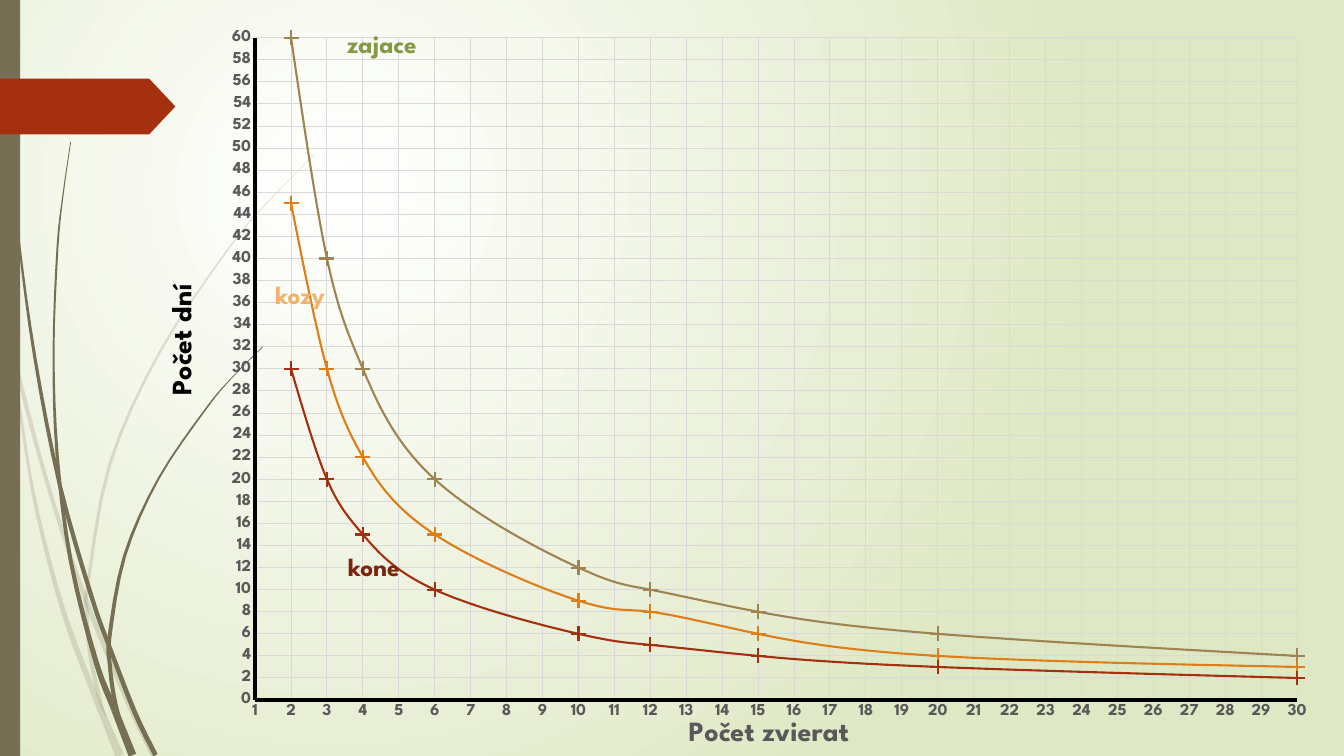
from dataclasses import dataclass
from math import hypot

from lxml import etree
from pptx import Presentation
from pptx.chart.data import XyChartData
from pptx.dml.color import RGBColor
from pptx.enum import chart as ce, shapes, text
from pptx.oxml.ns import qn
from pptx.util import Cm, Pt


@dataclass(frozen=True)
class Theme:
    font: str = "League Spartan"
    stem: str = "766F54"
    arrow: str = "A53010"
    bg_inner: str = "FFFFFF"
    bg_outer: str = "DFE8C4"
    axis: str = "000000"
    grid: str = "D9D9D9"
    muted: str = "595959"
    tick_size: int = 12
    label_size: int = 18
    title_size: int = 20


@dataclass(frozen=True)
class Stem:
    """Curved blade: centre points as (x, y, width) in cm, cut into pieces at some of them."""
    points: list[tuple[float, float, float]]
    cuts: tuple[int, ...]
    opacity: int = 100


@dataclass(frozen=True)
class Curve:
    """Animals that eat the feed in total / count days."""
    name: str
    total: int
    color: str
    label_color: str
    label_x: float
    label_y: float


@dataclass(frozen=True)
class AxisStyle:
    title: str
    title_color: str
    title_x: float
    title_y: float
    low: int
    high: int
    step: int


THEME = Theme()
SLIDE_W, SLIDE_H = 33.87, 19.05
CHART_X, CHART_W = 3.58, 30.29
STEPS = 4
COUNTS = [2, 3, 4, 6, 10, 12, 15, 20, 30]
CURVES = [
    Curve("kone", 60, "A53010", "7C240C", 8.08, 13.77),
    Curve("kozy", 90, "DE7E18", "F0B270", 6.22, 6.91),
    Curve("zajace", 120, "9F8351", "839943", 8.28, 0.58),
]
X_AXIS = AxisStyle("Počet zvierat", THEME.muted, 13.65, 18.1, 1, 30, 1)
Y_AXIS = AxisStyle("Počet dní", THEME.axis, 0.53, 7.12, 0, 60, 2)
STEMS = [
    Stem([(0, 7.37, 0.1), (0.3, 8.76, 0.1), (0.91, 11.18, 0.1), (1.52, 13.23, 0.1),
          (2.18, 15.16, 0.12), (3.18, 17.6, 0.12), (3.86, 19.05, 0.12)], (1, 4), 20),
    Stem([(0.3, 8.89, 0.05), (0.75, 11.94, 0.08), (1.16, 13.84, 0.1), (1.71, 15.75, 0.13),
          (2.41, 17.58, 0.15), (2.64, 18.14, 0.17), (3.02, 19.05, 0.22)], (5,), 20),
    Stem([(7.92, 3.9, 0.02), (6.81, 5.02, 0.02), (5.8, 6.21, 0.04), (4.04, 8.85, 0.06),
          (2.76, 11.72, 0.08), (2.2, 14.83, 0.08), (2.18, 15.34, 0.1), (2.26, 16.41, 0.1),
          (2.49, 17.53, 0.1), (2.67, 18.06, 0.02)], (5, 6), 20),
    Stem([(0.09, 0, 0.02), (0.19, 2.79, 0.03), (0.46, 5.92, 0.05), (0.88, 9.02, 0.08),
          (1.5, 12.19, 0.1), (2.3, 15.01, 0.11), (2.77, 16.33, 0.11), (3.4, 17.96, 0.12),
          (3.92, 19.03, 0.12)], (4, 6)),
    Stem([(1.78, 3.58, 0.02), (1.59, 4.9, 0.03), (1.45, 6.22, 0.05), (1.35, 8.86, 0.05),
          (1.44, 11.46, 0.08), (1.78, 14.12, 0.1), (2.43, 16.71, 0.13), (2.9, 17.91, 0.17),
          (3.34, 19.03, 0.2)], (4, 7)),
    Stem([(6.62, 8.74, 0.02), (5.87, 9.49, 0.02), (5.19, 10.3, 0.04), (3.99, 12.07, 0.05),
          (3.14, 14.01, 0.08), (2.76, 16.05, 0.1), (2.77, 16.76, 0.1), (2.87, 17.53, 0.1),
          (3.07, 18.21, 0.02)], (5, 6)),
]


def rgb(color: str) -> RGBColor:
    return RGBColor.from_string(color)


def paint(sp, color: str, opacity: int = 100) -> None:
    sp.shadow.inherit = False
    sp.fill.solid()
    sp.fill.fore_color.rgb = rgb(color)
    sp.line.fill.background()
    if opacity < 100:
        clr = sp._element.spPr.find(qn("a:solidFill"))[0]
        etree.SubElement(clr, qn("a:alpha")).set("val", str(opacity * 1000))


def style_font(font, size: int, color: str) -> None:
    font.name, font.size, font.bold = THEME.font, Pt(size), True
    font.color.rgb = rgb(color)


def smooth(points: list[tuple]) -> list[tuple]:
    """Catmull-Rom curve through the points."""
    padded = [points[0], *points, points[-1]]
    result = []
    for quad in zip(padded, padded[1:], padded[2:], padded[3:]):
        for t in (i / STEPS for i in range(STEPS)):
            result.append(tuple(
                b + 0.5 * t * (c - a + t * (2 * a - 5 * b + 4 * c - d + t * (3 * (b - c) + d - a)))
                for a, b, c, d in zip(*quad)))
    return result + [points[-1]]


def draw_stem(slide, stem: Stem) -> None:
    line = smooth(stem.points)
    left, right = [], []
    for before, (x, y, width), after in zip([line[0], *line], line, [*line[1:], line[-1]]):
        dx, dy = after[0] - before[0], after[1] - before[1]
        k = width / 2 / hypot(dx, dy)
        left.append((Cm(x - dy * k), Cm(y + dx * k)))
        right.append((Cm(x + dy * k), Cm(y - dx * k)))
    ends = [0, *stem.cuts, len(stem.points) - 1]
    for first, last in zip(ends, ends[1:]):
        piece = slice(first * STEPS, last * STEPS + 1)
        outline = left[piece] + right[piece][::-1]
        builder = slide.shapes.build_freeform(*outline[0])
        builder.add_line_segments(outline[1:], close=True)
        paint(builder.convert_to_shape(), THEME.stem, stem.opacity)


def draw_background(slide) -> None:
    fill = slide.background.fill
    fill.gradient()
    for stop, color in zip(fill.gradient_stops, (THEME.bg_inner, THEME.bg_outer)):
        stop.color.rgb = rgb(color)
    grad = slide._element.find(".//" + qn("a:gradFill"))
    grad.remove(grad.find(qn("a:lin")))
    circle = etree.SubElement(grad, qn("a:path"), {"path": "circle"})
    etree.SubElement(circle, qn("a:fillToRect"), l="50000", t="50000", r="100000", b="100000")


def set_layout(parent, index: int, **values) -> None:
    """Place a chart part by fractions of the chart area."""
    for old in parent.findall(qn("c:layout")):
        parent.remove(old)
    layout = parent.makeelement(qn("c:layout"))
    manual = etree.SubElement(layout, qn("c:manualLayout"))
    for tag, value in values.items():
        etree.SubElement(manual, qn(f"c:{tag}")).set("val", str(value))
    parent.insert(index, layout)


def style_axis(axis, style: AxisStyle) -> None:
    axis.minimum_scale, axis.maximum_scale, axis.major_unit = style.low, style.high, style.step
    axis.major_tick_mark = axis.minor_tick_mark = ce.XL_TICK_MARK.NONE
    axis.crosses = ce.XL_AXIS_CROSSES.MINIMUM
    axis.has_major_gridlines = True
    for part, color, width in ((axis, THEME.axis, 2.5), (axis.major_gridlines, THEME.grid, 0.75)):
        part.format.line.color.rgb = rgb(color)
        part.format.line.width = Pt(width)
    style_font(axis.tick_labels.font, THEME.tick_size, THEME.muted)
    p = axis.axis_title.text_frame.paragraphs[0]
    p.add_run().text = style.title
    style_font(p.font, THEME.title_size, style.title_color)
    set_layout(axis.axis_title._element, 1, xMode="edge", yMode="edge",
               x=style.title_x / CHART_W, y=style.title_y / SLIDE_H)


def draw_chart(slide) -> None:
    data = XyChartData()
    for curve in CURVES:
        series = data.add_series(curve.name)
        for count in COUNTS:
            series.add_data_point(count, round(curve.total / count))
    chart = slide.shapes.add_chart(ce.XL_CHART_TYPE.XY_SCATTER_SMOOTH, Cm(CHART_X), 0,
                                   Cm(CHART_W), Cm(SLIDE_H), data).chart
    chart.has_legend = chart.has_title = False
    chart.font.name, chart.font.size = THEME.font, Pt(10)
    chart.plots[0].vary_by_categories = False
    set_layout(chart._chartSpace.find(".//" + qn("c:plotArea")), 0, layoutTarget="inner",
               xMode="edge", yMode="edge", x=2.85 / CHART_W, y=0.96 / SLIDE_H,
               w=26.26 / CHART_W, h=16.81 / SLIDE_H)
    style_axis(chart.category_axis, X_AXIS)
    style_axis(chart.value_axis, Y_AXIS)
    for series, curve in zip(chart.plots[0].series, CURVES):
        series._element.find(qn("c:smooth")).set("val", "1")
        series.marker.style, series.marker.size = ce.XL_MARKER_STYLE.PLUS, 10
        series.marker.format.fill.background()
        for part in (series, series.marker):
            part.format.line.color.rgb = rgb(curve.color)
            part.format.line.width = Pt(1.5)


def draw_label(slide, curve: Curve) -> None:
    tf = slide.shapes.add_textbox(Cm(curve.label_x), Cm(curve.label_y), Cm(2.69), Cm(1.02)).text_frame
    tf.word_wrap = True
    tf.auto_size = text.MSO_AUTO_SIZE.SHAPE_TO_FIT_TEXT
    p = tf.paragraphs[0]
    p.text, p.alignment = curve.name, text.PP_ALIGN.CENTER
    style_font(p.font, THEME.label_size, curve.label_color)


def main() -> None:
    prs = Presentation()
    prs.slide_width, prs.slide_height = Cm(SLIDE_W), Cm(SLIDE_H)
    slide = prs.slides.add_slide(prs.slide_layouts[6])

    # Background, stems, side bar and arrow
    draw_background(slide)
    for stem in STEMS:
        draw_stem(slide, stem)
    bar = slide.shapes.add_shape(shapes.MSO_SHAPE.RECTANGLE, 0, 0, Cm(0.51), Cm(SLIDE_H))
    paint(bar, THEME.stem)
    arrow = slide.shapes.add_shape(shapes.MSO_SHAPE.PENTAGON, 0, Cm(1.98), Cm(4.42), Cm(1.41))
    arrow.adjustments[0] = 0.47
    paint(arrow, THEME.arrow)

    # Chart and curve names
    draw_chart(slide)
    for curve in CURVES:
        draw_label(slide, curve)
    prs.save("out.pptx")


if __name__ == "__main__":
    main()
